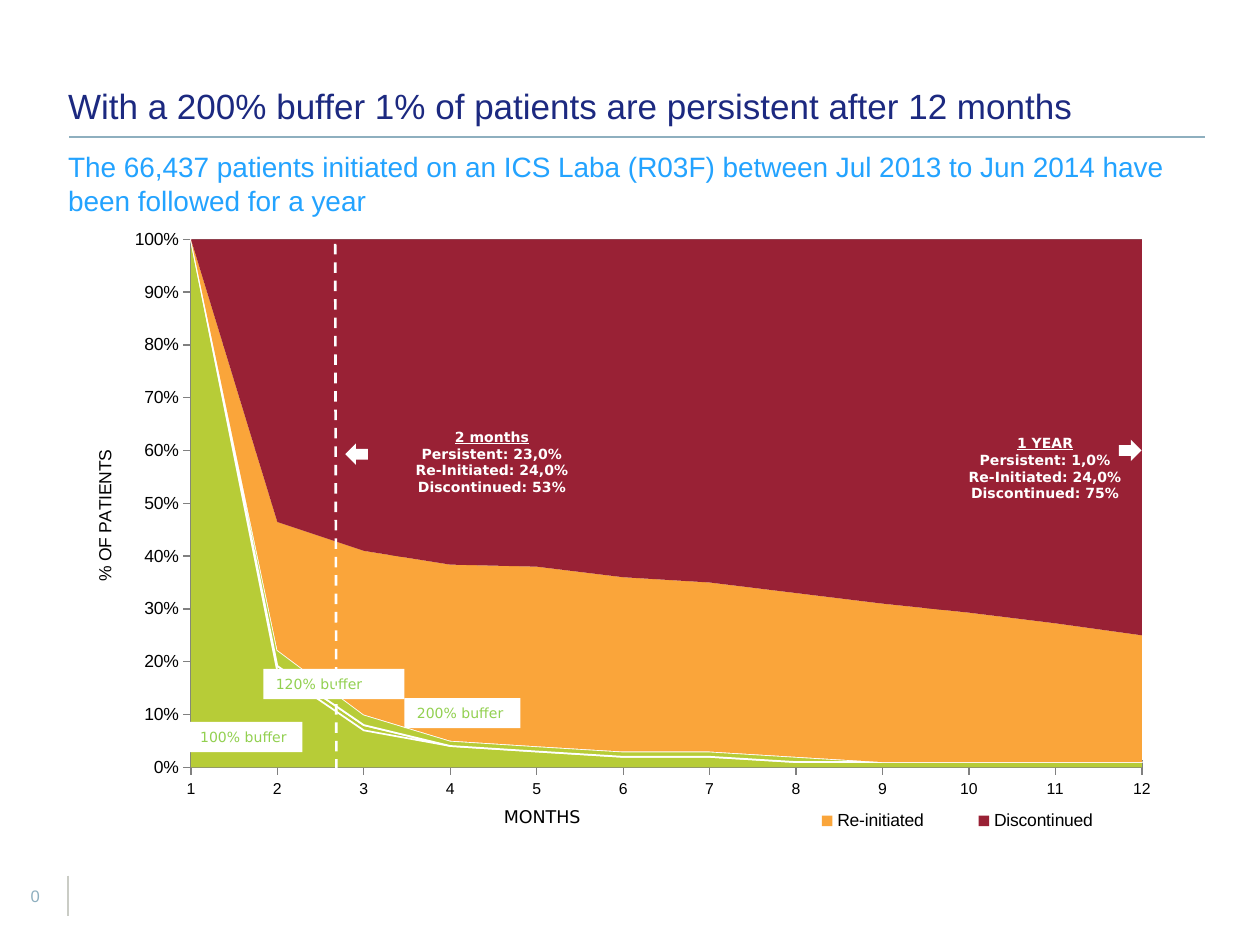
from dataclasses import dataclass
from typing import Any, NamedTuple, Optional

from lxml import etree
from pptx import Presentation
from pptx import util as u
from pptx.chart.data import CategoryChartData
from pptx.dml.color import RGBColor
from pptx.enum import chart as charts, dml, shapes, text
from pptx.oxml import ns

COLUMNS, ROWS = 100, 75
CELL = u.Inches(0.1)


@dataclass(frozen=True)
class Theme:
    sans: str = "Arial"
    label_font: str = "DejaVu Sans"
    navy: str = "1C2980"
    sky: str = "23A3FF"
    steel: str = "8EAFBF"
    grey: str = "CACCC5"
    axis: str = "808080"
    black: str = "000000"
    white: str = "FFFFFF"
    lime: str = "92D050"
    persistent: str = "B7CC37"
    reinitiated: str = "FAA53A"
    discontinued: str = "992135"
    title_size: float = 20
    subtitle_size: float = 16
    body_size: float = 10
    page_size: float = 9.5
    month_size: float = 9
    label_size: float = 8


THEME = Theme()


class Box(NamedTuple):
    column: float
    row: float
    columns: float
    rows: float

    def lengths(self) -> list[int]:
        return [round(cells * CELL) for cells in self]


class Style(NamedTuple):
    size: float
    color: str
    face: str = THEME.sans
    bold: bool = False
    align: Any = text.PP_ALIGN.LEFT


class Rule(NamedTuple):
    start: tuple[float, float]
    end: tuple[float, float]
    color: str
    width: float
    dash: Any = None


class Band(NamedTuple):
    label: str
    shares: list[Optional[int]]
    color: str
    outline: Optional[str] = None


class Callout(NamedTuple):
    box: Box
    lines: list[str]
    arrow: Any
    arrow_box: Box


LABEL = Style(THEME.label_size, THEME.lime, THEME.label_font)
CALLOUT = Style(THEME.label_size, THEME.white, THEME.label_font, True, text.PP_ALIGN.CENTER)
FLUSH = dict.fromkeys(("margin_left", "margin_top", "margin_right", "margin_bottom"), 0)

BANDS = [
    Band("Series 1", [100, 18, 7, 4, 3, 2, 2, 1, 1, 1, 1, 1], THEME.persistent),
    Band("Series 2", [None, 1, 1] + [0] * 9, THEME.persistent, THEME.white),
    Band("Series 3", [None, 3, 2, 1, 1, 1, 1, 1, 0, 0, 0, 0], THEME.persistent, THEME.white),
    Band("Re-initiated", [None, 24, 31, 33, 34, 33, 32, 31, 30, 28, 26, 24], THEME.reinitiated),
    Band("Discontinued", [None, 53, 59, 61, 62, 64, 65, 67, 69, 70, 72, 75], THEME.discontinued),
]
BUFFERS = [
    ("100% buffer", Box(14.9, 57.3, 9.1, 2.4)),
    ("120% buffer", Box(20.9, 53.1, 11.2, 2.4)),
    ("200% buffer", Box(32.1, 55.4, 9.2, 2.4)),
]
CALLOUTS = [
    Callout(Box(29.8, 33.5, 18.5, 6.4),
            ["2 months", "Persistent: 23,0%", "Re-Initiated: 24,0%", "Discontinued: 53%"],
            shapes.MSO_SHAPE.LEFT_ARROW, Box(27.4, 35.2, 1.8, 1.7)),
    Callout(Box(73.7, 34, 18.5, 6.4),
            ["1 YEAR", "Persistent: 1,0%", "Re-Initiated: 24,0%", "Discontinued: 75%"],
            shapes.MSO_SHAPE.RIGHT_ARROW, Box(88.8, 34.9, 1.8, 1.7)),
]
HEADER_RULE = Rule((5.5, 10.9), (95.6, 10.9), THEME.steel, 1.25)
FOOTER_RULE = Rule((5.4, 69.5), (5.4, 72.7), THEME.grey, 0.75)
MONTH_MARK = Rule((26.6, 17.9), (26.7, 61), THEME.white, 1.5, dml.MSO_LINE.DASH)


def apply(target: Any, values: dict[str, Any]) -> None:
    for attribute, value in values.items():
        setattr(target, attribute, value)


def set_font(font: Any, style: Style) -> None:
    apply(font, {"size": u.Pt(style.size), "name": style.face, "bold": style.bold})
    font.color.rgb = RGBColor.from_string(style.color)


def write(frame: Any, lines: list[str], style: Style, **frame_format: Any) -> None:
    apply(frame, {"word_wrap": True, **frame_format})
    frame.text = "\n".join(lines)
    for paragraph in frame.paragraphs:
        paragraph.alignment = style.align
        set_font(paragraph.runs[0].font, style)


def add_text(slide: Any, box: Box, lines: list[str], style: Style, **frame_format: Any) -> Any:
    frame = slide.shapes.add_textbox(*box.lengths()).text_frame
    write(frame, lines, style, **frame_format)
    return frame


def add_white_shape(slide: Any, preset: Any, box: Box) -> Any:
    shape = slide.shapes.add_shape(preset, *box.lengths())
    shape.shadow.inherit = False
    shape.fill.solid()
    shape.fill.fore_color.rgb = RGBColor.from_string(THEME.white)
    shape.line.fill.background()
    return shape


def add_rule(slide: Any, rule: Rule) -> None:
    ends = [round(cells * CELL) for cells in rule.start + rule.end]
    connector = slide.shapes.add_connector(shapes.MSO_CONNECTOR.STRAIGHT, *ends)
    apply(connector.line, {"width": u.Pt(rule.width), "dash_style": rule.dash})
    connector.line.color.rgb = RGBColor.from_string(rule.color)
    etree.SubElement(connector._element.spPr, ns.qn("a:effectLst"))


def set_layout(parent: Any, **shares: float) -> None:
    for previous in parent.findall(ns.qn("c:layout")):
        parent.remove(previous)
    layout = etree.Element(ns.qn("c:layout"))
    manual = etree.SubElement(layout, ns.qn("c:manualLayout"))
    modes = {"xMode": "edge", "yMode": "edge"}
    if parent.tag == ns.qn("c:plotArea"):
        modes = {"layoutTarget": "inner", **modes}
    for tag, value in {**modes, **shares}.items():
        etree.SubElement(manual, ns.qn(f"c:{tag}")).set("val", str(value))
    overlay = parent.find(ns.qn("c:overlay"))
    if overlay is None:
        parent.insert(0, layout)
    else:
        overlay.addprevious(layout)


def add_persistence_chart(slide: Any, box: Box) -> None:
    data = CategoryChartData()
    data.categories = [str(month) for month in range(1, 13)]
    for band in BANDS:
        data.add_series(band.label, band.shares)
    chart = slide.shapes.add_chart(
        charts.XL_CHART_TYPE.AREA_STACKED_100, *box.lengths(), data).chart
    body = Style(THEME.body_size, THEME.black)
    set_font(chart.font, body)
    apply(chart, {"has_title": False, "has_legend": True})
    chart.plots[0].vary_by_categories = False
    for series, band in zip(chart.plots[0].series, BANDS):
        series.format.fill.solid()
        series.format.fill.fore_color.rgb = RGBColor.from_string(band.color)
        if band.outline:
            series.format.line.color.rgb = RGBColor.from_string(band.outline)
            series.format.line.width = u.Pt(1)
        else:
            series.format.line.fill.background()

    months, patients = chart.category_axis, chart.value_axis
    for axis, size in ((months, THEME.month_size), (patients, THEME.body_size)):
        axis.major_tick_mark = charts.XL_TICK_MARK.CROSS
        axis.format.line.color.rgb = RGBColor.from_string(THEME.axis)
        set_font(axis.tick_labels.font, Style(size, THEME.black))
    apply(months, {"has_major_gridlines": False})
    apply(patients, {"has_major_gridlines": True, "minimum_scale": 0,
                     "maximum_scale": 1, "major_unit": 0.1})
    patients.major_gridlines.format.line.color.rgb = RGBColor.from_string(THEME.axis)
    apply(patients.tick_labels, {"number_format": "0%", "number_format_is_linked": False})
    patients._element.find(ns.qn("c:crossBetween")).set("val", "midCat")

    heading = patients.axis_title
    heading.text_frame.text = "% OF PATIENTS"
    set_font(heading.text_frame.paragraphs[0].runs[0].font, body)
    apply(chart.legend, {"position": charts.XL_LEGEND_POSITION.BOTTOM, "include_in_layout": False})
    legend = chart.legend._element
    for index in reversed(range(3)):
        entry = etree.Element(ns.qn("c:legendEntry"))
        for tag, value in (("idx", index), ("delete", 1)):
            etree.SubElement(entry, ns.qn(f"c:{tag}")).set("val", str(value))
        legend.find(ns.qn("c:legendPos")).addnext(entry)
    set_layout(chart._chartSpace.chart.plotArea, x=0.12, y=0.03, w=0.85, h=0.84)
    set_layout(heading._element, x=0.03, y=0.36)
    set_layout(legend, x=0.64, y=0.93, w=0.33, h=0.05)


def main() -> None:
    deck = Presentation()
    apply(deck, {"slide_width": COLUMNS * CELL, "slide_height": ROWS * CELL})
    slide = deck.slides.add_slide(deck.slide_layouts[5])

    add_text(slide, Box(1.6, 70.3, 2.4, 1.6), ["0"],
             Style(THEME.page_size, THEME.steel, align=text.PP_ALIGN.CENTER), **FLUSH)
    add_rule(slide, FOOTER_RULE)
    add_rule(slide, HEADER_RULE)
    headline = slide.shapes.title
    apply(headline, dict(zip(("left", "top", "width", "height"), Box(5.4, 0.8, 90, 9.3).lengths())))
    write(headline.text_frame, ["With a 200% buffer 1% of patients are persistent after 12 months"],
          Style(THEME.title_size, THEME.navy), vertical_anchor=text.MSO_ANCHOR.BOTTOM, **FLUSH)
    headline.text_frame.paragraphs[0].line_spacing = 0.9
    add_text(slide, Box(5.4, 11.9, 90, 3.9),
             ["The 66,437 patients initiated on an ICS Laba (R03F) between Jul 2013 "
              "to Jun 2014 have been followed for a year"],
             Style(THEME.subtitle_size, THEME.sky), **FLUSH)

    add_persistence_chart(slide, Box(4.5, 17.5, 88.8, 49.9))
    for label, box in BUFFERS:
        tag = add_white_shape(slide, shapes.MSO_SHAPE.RECTANGLE, box)
        write(tag.text_frame, [label], LABEL)
    add_text(slide, Box(39, 63.5, 8.2, 2.7), ["MONTHS"],
             Style(THEME.body_size, THEME.black, THEME.label_font), word_wrap=False)
    add_rule(slide, MONTH_MARK)
    for callout in CALLOUTS:
        frame = add_text(slide, callout.box, callout.lines, CALLOUT)
        frame.paragraphs[0].runs[0].font.underline = True
        add_white_shape(slide, callout.arrow, callout.arrow_box)
    deck.save("out.pptx")


if __name__ == "__main__":
    main()
